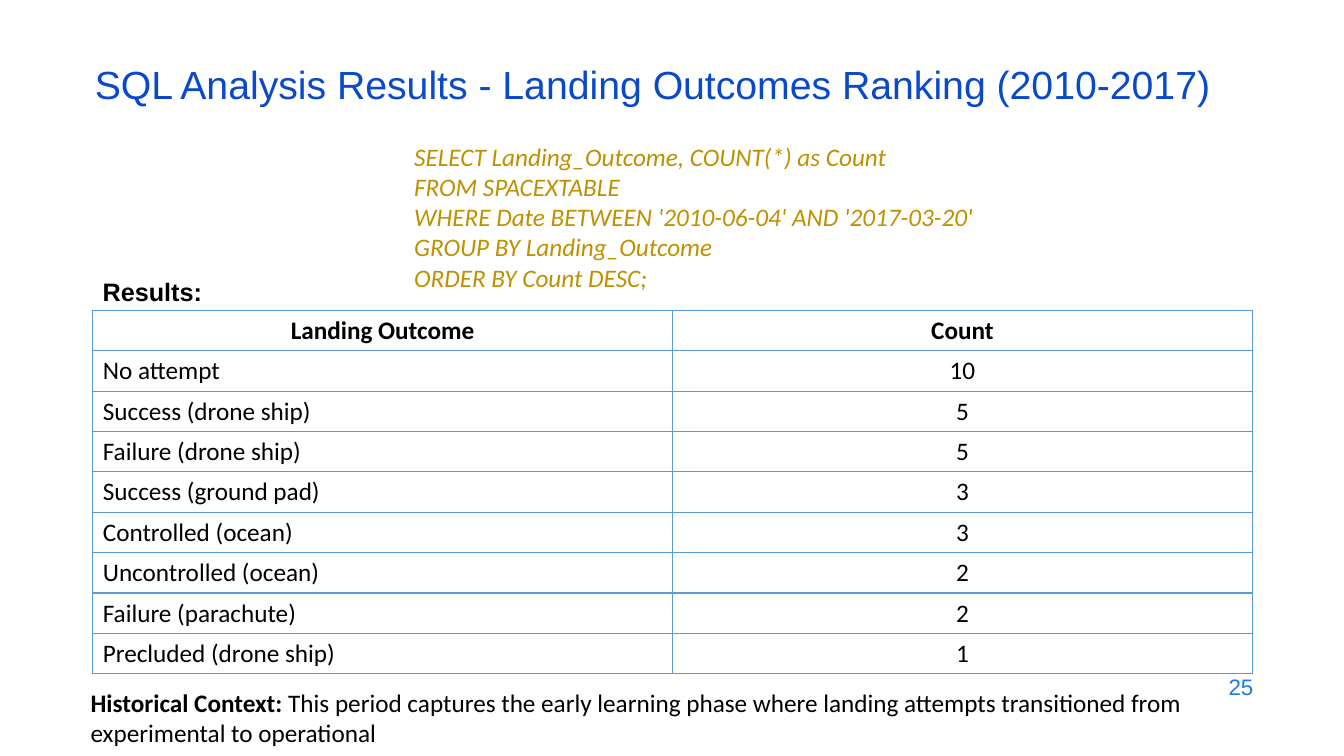
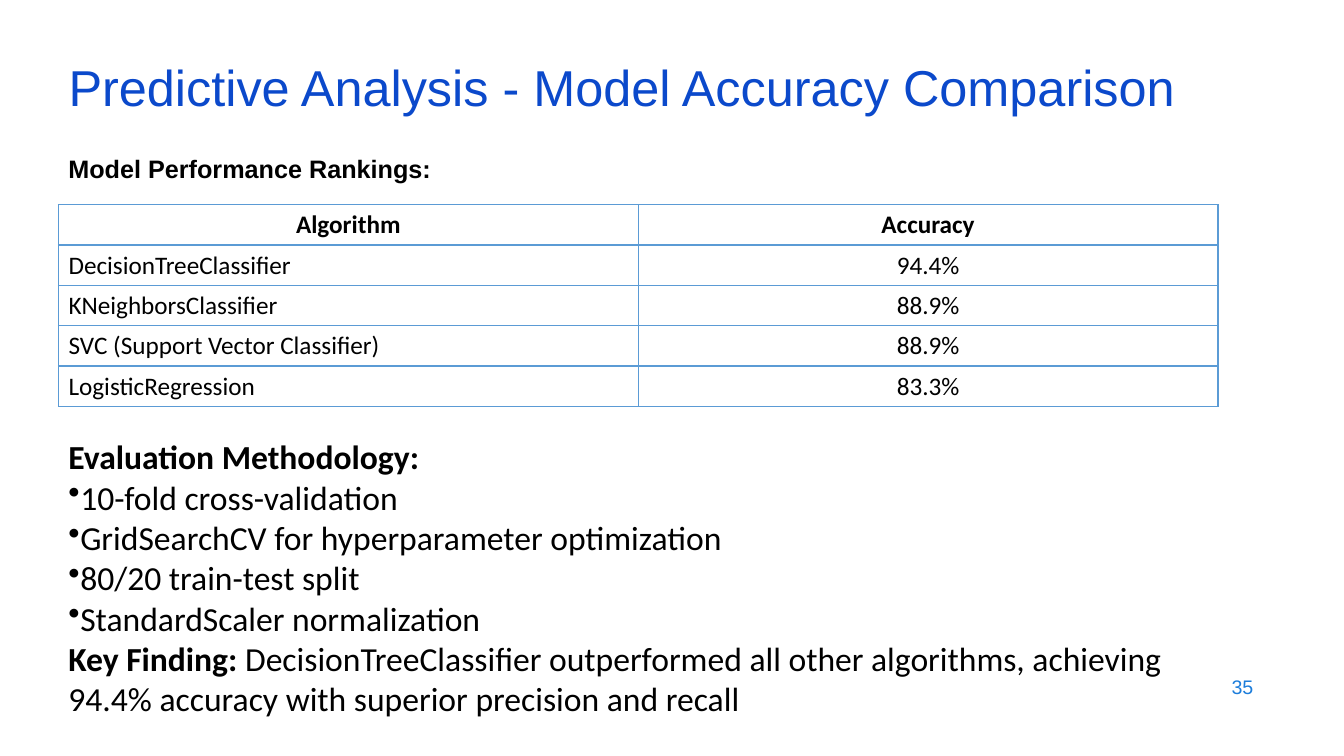
from dataclasses import dataclass

import pptx
import pptx.dml.color
import pptx.enum.text
import pptx.oxml
import pptx.oxml.ns
import pptx.util
from pptx.util import Inches

ALIGN = pptx.enum.text.PP_ALIGN
ANCHOR = pptx.enum.text.MSO_ANCHOR


@dataclass(frozen=True)
class Theme:
    title_color: str = "0B49CB"
    number_color: str = "1C7DDB"
    query_color: str = "BF9000"
    text_color: str = "000000"
    border_color: str = "5B9BD5"
    heading_font: str = "Arial"
    body_font: str = "Calibri"
    body_size: int = 18
    large_size: int = 24
    border_width: int = 1
    table_width: float = 11.5
    row_height: float = 0.4


THEME = Theme()

LANDING = {
    "title": "SQL Analysis Results - Landing Outcomes Ranking (2010-2017)",
    "title_place": (0.84, 0.59, 11.5, 0.6),
    "title_size": 28,
    "title_spacing": 0.7,
    "number": "25",
    "number_size": 16,
    "label": "Results:",
    "label_place": (0.92, 2.64, 11.5, 0.5),
    "table_corner": (0.92, 3.08),
    "rows": [
        ("Landing Outcome", "Count"),
        ("No attempt", "10"),
        ("Success (drone ship)", "5"),
        ("Failure (drone ship)", "5"),
        ("Success (ground pad)", "3"),
        ("Controlled (ocean)", "3"),
        ("Uncontrolled (ocean)", "2"),
        ("Failure (parachute)", "2"),
        ("Precluded (drone ship)", "1"),
    ],
}
QUERY = [
    "SELECT Landing_Outcome, COUNT(*) as Count",
    "FROM SPACEXTABLE",
    "WHERE Date BETWEEN '2010-06-04' AND '2017-03-20'",
    "GROUP BY Landing_Outcome",
    "ORDER BY Count DESC;",
]
CONTEXT = [
    [("Historical Context:", True),
     (" This period captures the early learning phase where landing attempts "
      "transitioned from experimental to operational", False)],
]

ACCURACY = {
    "title": "Predictive Analysis - Model Accuracy Comparison",
    "title_place": (0.58, 0.59, 12.17, 0.6),
    "title_size": 36,
    "title_spacing": 0.9,
    "number": "35",
    "number_size": 14,
    "label": "Model Performance Rankings:",
    "label_place": (0.58, 1.42, 11.5, 0.5),
    "table_corner": (0.58, 2.03),
    "rows": [
        ("Algorithm", "Accuracy"),
        ("DecisionTreeClassifier", "94.4%"),
        ("KNeighborsClassifier", "88.9%"),
        ("SVC (Support Vector Classifier)", "88.9%"),
        ("LogisticRegression", "83.3%"),
    ],
}
METHOD = [
    [("Evaluation Methodology:", True)],
    "• 10-fold cross-validation",
    "• GridSearchCV for hyperparameter optimization",
    "• 80/20 train-test split",
    "• StandardScaler normalization",
    [("Key Finding: ", True),
     ("DecisionTreeClassifier outperformed all other algorithms, achieving "
      "94.4% accuracy with superior precision and recall", False)],
]


def add_bullet(para):
    properties = para._p.get_or_add_pPr()
    properties.set("marL", "0")
    properties.set("indent", "0")
    bullet = pptx.oxml.parse_xml(
        f'<a:buChar {pptx.oxml.ns.nsdecls("a")} char="•"/>')
    properties.append(bullet)


def write(frame, paras, size=THEME.body_size, font=THEME.body_font,
          color=THEME.text_color, bold=False, italic=False,
          align=ALIGN.LEFT, spacing=None):
    for index, content in enumerate(paras):
        para = frame.paragraphs[0] if index == 0 else frame.add_paragraph()
        para.alignment = align
        if spacing:
            para.line_spacing = spacing
        if isinstance(content, str):
            if content.startswith("• "):
                add_bullet(para)
                content = content[2:]
            content = [(content, bold)]
        for text, heavy in content:
            span = para.add_run()
            span.text = text
            span.font.size = pptx.util.Pt(size)
            span.font.name = font
            span.font.bold = heavy
            span.font.italic = italic
            span.font.color.rgb = pptx.dml.color.RGBColor.from_string(color)


def add_text(page, place, paras, anchor=ANCHOR.TOP, **style):
    box = page.shapes.add_textbox(*map(Inches, place))
    box.text_frame.word_wrap = True
    box.text_frame.vertical_anchor = anchor
    write(box.text_frame, paras, **style)


def set_borders(cell):
    properties = cell._tc.get_or_add_tcPr()
    width = pptx.util.Pt(THEME.border_width)
    for side in ("lnL", "lnR", "lnT", "lnB"):
        properties.append(pptx.oxml.parse_xml(
            f'<a:{side} {pptx.oxml.ns.nsdecls("a")} w="{int(width)}">'
            f'<a:solidFill><a:srgbClr val="{THEME.border_color}"/></a:solidFill>'
            f'</a:{side}>'))


def add_results(page, corner, rows):
    size = (THEME.table_width, THEME.row_height * len(rows))
    table = page.shapes.add_table(
        len(rows), len(rows[0]), *map(Inches, corner + size)).table
    table.first_row = False
    table.horz_banding = False
    for row_index, row in enumerate(rows):
        for column_index, text in enumerate(row):
            cell = table.cell(row_index, column_index)
            header = row_index == 0
            centered = header or column_index > 0
            cell.vertical_anchor = ANCHOR.MIDDLE
            set_borders(cell)
            cell.fill.background()
            write(cell.text_frame, [text], bold=header,
                  align=ALIGN.CENTER if centered else ALIGN.LEFT)


def add_page(deck, content):
    page = deck.slides.add_slide(deck.slide_layouts[5])
    title = page.shapes.title
    title.left, title.top, title.width, title.height = map(
        Inches, content["title_place"])
    frame = title.text_frame
    frame.auto_size = pptx.enum.text.MSO_AUTO_SIZE.NONE
    frame.word_wrap = True
    frame.vertical_anchor = ANCHOR.MIDDLE
    write(frame, [content["title"]], size=content["title_size"],
          font=THEME.heading_font, color=THEME.title_color,
          spacing=content["title_spacing"])
    add_text(page, (9.53, 6.59, 3, 0.44), [content["number"]],
             anchor=ANCHOR.MIDDLE, size=content["number_size"],
             font=THEME.heading_font, color=THEME.number_color,
             align=ALIGN.RIGHT)
    add_results(page, content["table_corner"], content["rows"])
    add_text(page, content["label_place"], [content["label"]],
             anchor=ANCHOR.MIDDLE, font=THEME.heading_font, bold=True)
    return page


def main():
    deck = pptx.Presentation()
    deck.slide_width = Inches(13.33)
    deck.slide_height = Inches(7.5)

    landing = add_page(deck, LANDING)
    add_text(landing, (4.01, 1.35, 7.77, 1.62), QUERY,
             color=THEME.query_color, italic=True)
    add_text(landing, (0.8, 6.77, 11.5, 0.71), CONTEXT)

    accuracy = add_page(deck, ACCURACY)
    add_text(accuracy, (0.58, 4.28, 11.65, 2.93), METHOD,
             size=THEME.large_size)

    deck.save("out.pptx")


if __name__ == "__main__":
    main()
